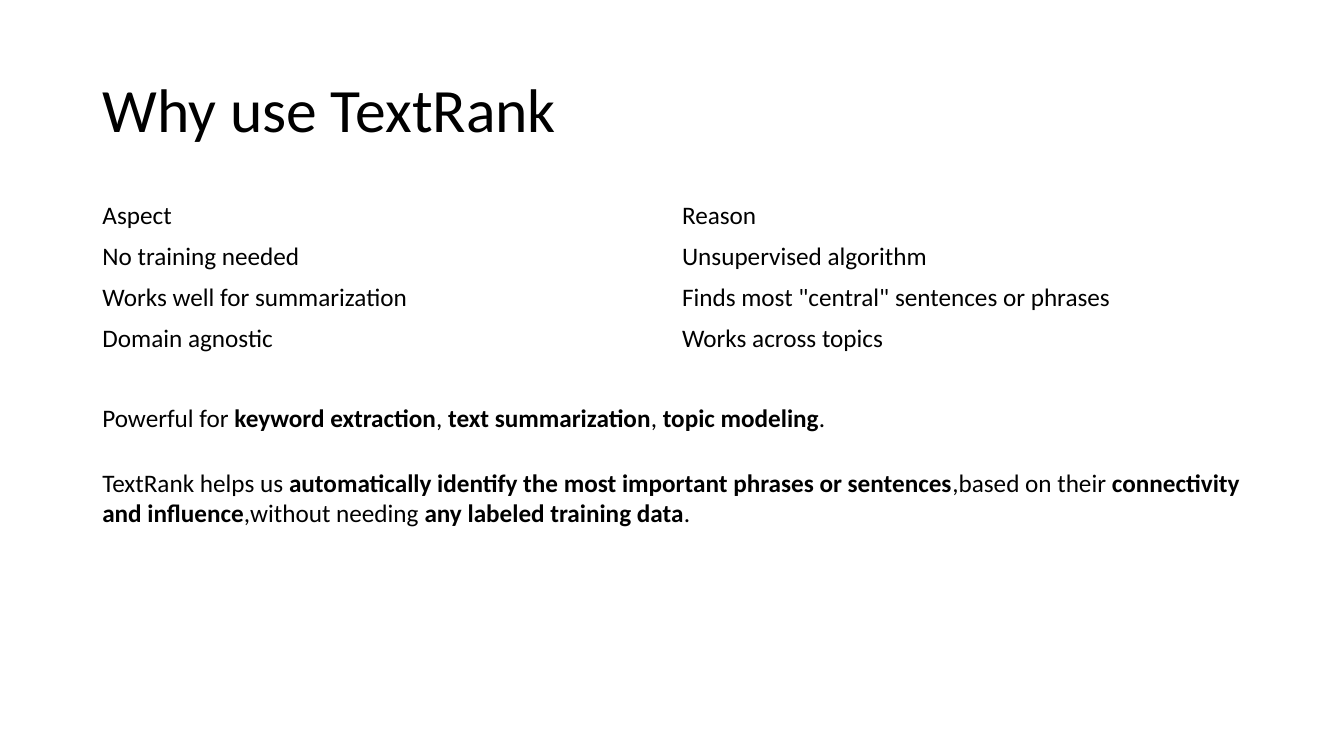
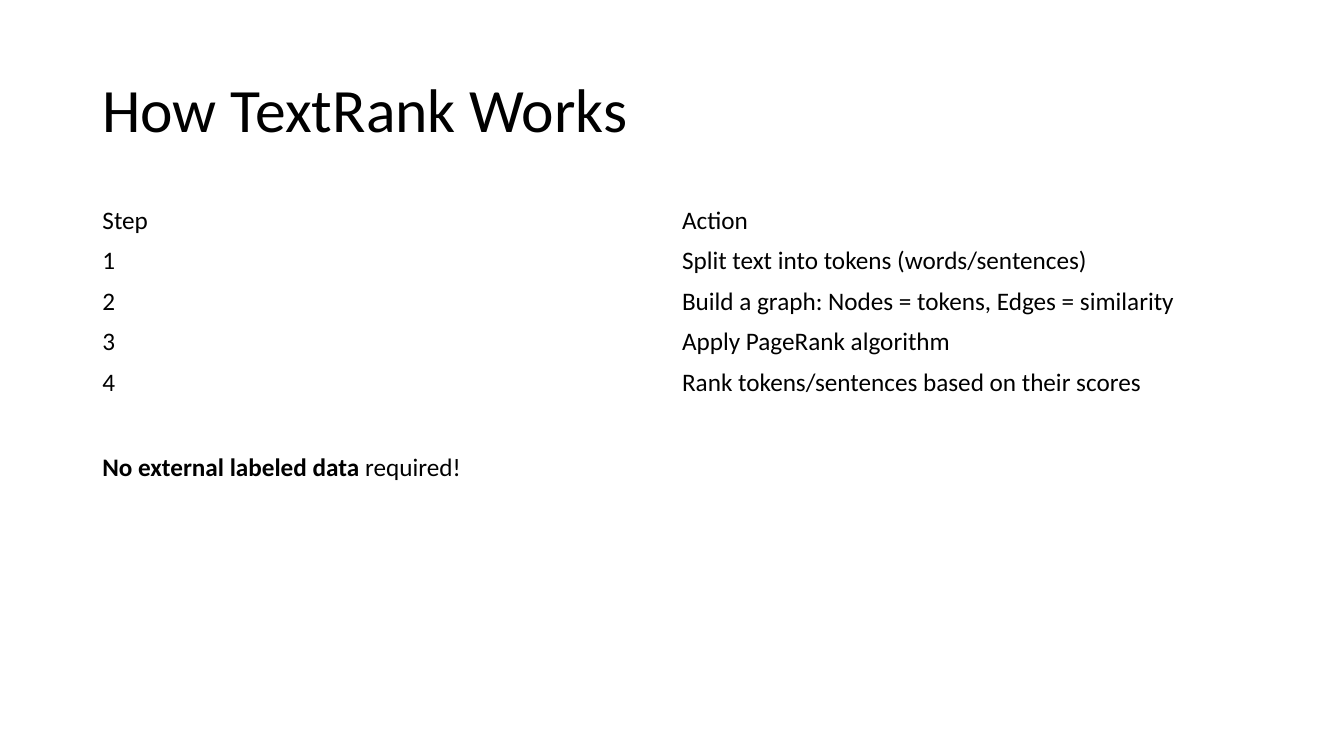
from dataclasses import dataclass

from pptx import Presentation
from pptx.dml.color import RGBColor
from pptx.enum.text import MSO_ANCHOR, MSO_AUTO_SIZE
from pptx.util import Emu, Pt

MIDDLE = MSO_ANCHOR.MIDDLE
TOP = MSO_ANCHOR.TOP
GROW = MSO_AUTO_SIZE.SHAPE_TO_FIT_TEXT
NO_FIT = MSO_AUTO_SIZE.NONE
EMU_PER_PX = 9525
PAGE_WIDTH, PAGE_HEIGHT = 1280, 720
BLANK_LAYOUT = 6
MARGIN = 88
CONTENT_WIDTH = PAGE_WIDTH - 2 * MARGIN
ROW_HEIGHT = 38


@dataclass(frozen=True)
class Theme:
    """Colours, font and type sizes shared by the slides."""

    font: str = "Calibri"
    text: RGBColor = RGBColor(0x00, 0x00, 0x00)
    background: RGBColor = RGBColor(0xFF, 0xFF, 0xFF)
    title_size: int = 44
    body_size: int = 18
    title_spacing: float = 0.9


@dataclass(frozen=True)
class Area:
    """A rectangle in px."""

    left: int
    top: int
    width: int
    height: int

    def emu(self) -> tuple[Emu, ...]:
        """Return left, top, width and height in EMU."""
        return tuple(map(px, (self.left, self.top, self.width, self.height)))


@dataclass(frozen=True)
class Span:
    """A stretch of text in one weight."""

    text: str
    bold: bool = False


@dataclass(frozen=True)
class Note:
    """A paragraph of mixed weight below the table."""

    area: Area
    spans: tuple[Span, ...]
    wrap: bool = True


@dataclass(frozen=True)
class Topic:
    """The content of one slide."""

    title: str
    table_top: int
    rows: tuple[tuple[str, ...], ...]
    notes: tuple[Note, ...]


THEME = Theme()
TITLE_AREA = Area(MARGIN, 38, CONTENT_WIDTH, 139)

TOPICS = (
    Topic(
        "Why use TextRank",
        186,
        (
            ("Aspect", "Reason"),
            ("No training needed", "Unsupervised algorithm"),
            ("Works well for summarization", 'Finds most "central" sentences or phrases'),
            ("Domain agnostic", "Works across topics"),
        ),
        (
            Note(
                Area(MARGIN, 378, 1056, 39),
                (
                    Span("Powerful for "),
                    Span("keyword extraction", True),
                    Span(", "),
                    Span("text summarization", True),
                    Span(", "),
                    Span("topic modeling", True),
                    Span("."),
                ),
            ),
            Note(
                Area(MARGIN, 440, CONTENT_WIDTH, 68),
                (
                    Span("TextRank helps us "),
                    Span("automatically identify the most important phrases or sentences", True),
                    Span(",based on their "),
                    Span("connectivity and influence", True),
                    Span(",without needing "),
                    Span("any labeled training data", True),
                    Span("."),
                ),
            ),
        ),
    ),
    Topic(
        "How TextRank Works",
        191,
        (
            ("Step", "Action"),
            ("1", "Split text into tokens (words/sentences)"),
            ("2", "Build a graph: Nodes = tokens, Edges = similarity"),
            ("3", "Apply PageRank algorithm"),
            ("4", "Rank tokens/sentences based on their scores"),
        ),
        (
            Note(
                Area(MARGIN, 425, 364, 39),
                (Span("No external labeled data", True), Span(" required!")),
                wrap=False,
            ),
        ),
    ),
)


def px(length: int) -> Emu:
    """Turn px into EMU."""
    return Emu(length * EMU_PER_PX)


def style_run(run, size: int, bold: bool = False) -> None:
    """Give a run the theme's font and colour."""
    run.font.name = THEME.font
    run.font.size = Pt(size)
    run.font.bold = bold
    run.font.color.rgb = THEME.text


def add_box(page, area: Area, anchor, auto_size, wrap: bool = True):
    """Add a text box and return its frame."""
    frame = page.shapes.add_textbox(*area.emu()).text_frame
    frame.word_wrap = wrap
    frame.auto_size = auto_size
    frame.vertical_anchor = anchor
    return frame


def add_title(page, title: str) -> None:
    """Draw the slide title."""
    frame = add_box(page, TITLE_AREA, MIDDLE, NO_FIT)
    frame.text = title
    para = frame.paragraphs[0]
    para.line_spacing = THEME.title_spacing
    style_run(para.runs[0], THEME.title_size)


def add_grid(page, top: int, rows: tuple[tuple[str, ...], ...]) -> None:
    """Draw an unfilled table with equal columns."""
    area = Area(MARGIN, top, CONTENT_WIDTH, ROW_HEIGHT * len(rows))
    table = page.shapes.add_table(len(rows), len(rows[0]), *area.emu()).table
    table.first_row = False
    table.horz_banding = False
    for row_index, row in enumerate(rows):
        for column_index, text in enumerate(row):
            cell = table.cell(row_index, column_index)
            cell.fill.background()
            cell.vertical_anchor = MIDDLE
            cell.text_frame.text = text
            style_run(cell.text_frame.paragraphs[0].runs[0], THEME.body_size)


def add_note(page, note: Note) -> None:
    """Draw a paragraph of mixed weight."""
    frame = add_box(page, note.area, TOP, GROW, note.wrap)
    para = frame.paragraphs[0]
    for span in note.spans:
        run = para.add_run()
        run.text = span.text
        style_run(run, THEME.body_size, span.bold)


def add_page(deck, topic: Topic) -> None:
    """Build one slide."""
    page = deck.slides.add_slide(deck.slide_layouts[BLANK_LAYOUT])
    page.background.fill.solid()
    page.background.fill.fore_color.rgb = THEME.background
    add_title(page, topic.title)
    add_grid(page, topic.table_top, topic.rows)
    for note in topic.notes:
        add_note(page, note)


def main() -> None:
    """Build and save the deck."""
    deck = Presentation()
    deck.slide_width = px(PAGE_WIDTH)
    deck.slide_height = px(PAGE_HEIGHT)
    for topic in TOPICS:
        add_page(deck, topic)
    deck.save("out.pptx")


if __name__ == "__main__":
    main()
